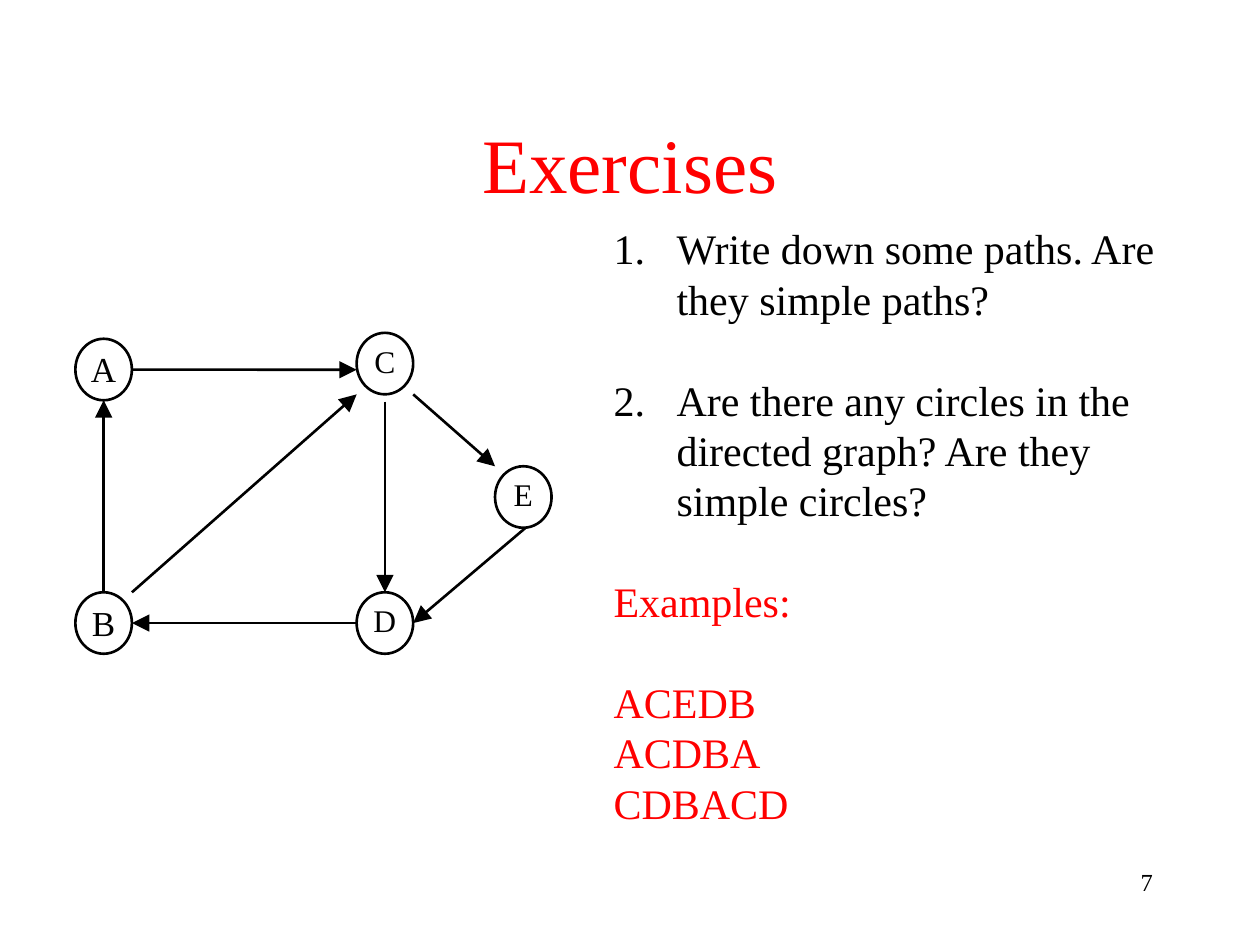
import pptx
import pptx.util
import pptx.dml.color
import pptx.enum.shapes
import pptx.enum.text
import pptx.oxml.ns
from lxml import etree
from pptx.util import Cm

BLACK = pptx.dml.color.RGBColor(0, 0, 0)
RED = pptx.dml.color.RGBColor(255, 0, 0)
FONT = "Times New Roman"
ALIGN = pptx.enum.text.PP_ALIGN
NODE_WIDTH, NODE_HEIGHT = 1.14, 1.24
LINE_PITCH = 28.8

NODES = {
    "A": (1.52, 6.83, 20),
    "B": (1.52, 11.94, 20),
    "C": (7.19, 6.71, 18),
    "D": (7.19, 11.94, 18),
    "E": (9.98, 9.4, 18),
}

# start node, start fraction, end node, end fraction
EDGES = [
    ("A", (1, 0.5), "C", (0, 0.6)),
    ("B", (0.5, 0), "A", (0.5, 1)),
    ("D", (0, 0.5), "B", (1, 0.5)),
    ("C", (0.5, 1.12), "D", (0.5, 0)),
    ("E", (0.54, 1), "D", (1, 0.5)),
    ("C", (1, 1), "E", (0, 0)),
    ("B", (1, 0), "C", (0, 1)),
]

QUESTIONS = [
    "Write down some paths. Are they simple paths?",
    "Are there any circles in the directed graph? Are they simple circles?",
]
EXAMPLES_TITLE = "Examples:"
EXAMPLES = ["ACEDB", "ACDBA", "CDBACD"]


def add_span(para, text, size, color):
    span = para.add_run()
    span.text = text
    span.font.name = FONT
    span.font.size = pptx.util.Pt(size)
    span.font.color.rgb = color


def add_box(slide, left, top, width, height):
    box = slide.shapes.add_textbox(Cm(left), Cm(top), Cm(width), Cm(height))
    box.text_frame.word_wrap = True
    return box.text_frame


def add_label(slide, area, text, size, color, align):
    frame = add_box(slide, *area)
    frame.vertical_anchor = pptx.enum.text.MSO_ANCHOR.TOP
    para = frame.paragraphs[0]
    para.alignment = align
    add_span(para, text, size, color)
    return frame


def add_node(slide, name, left, top, size):
    node = slide.shapes.add_shape(
        pptx.enum.shapes.MSO_SHAPE.OVAL,
        Cm(left), Cm(top), Cm(NODE_WIDTH), Cm(NODE_HEIGHT))
    node.shadow.inherit = False
    node.fill.background()
    node.line.color.rgb = BLACK
    node.line.width = pptx.util.Pt(1.5)
    frame = node.text_frame
    frame.margin_left = frame.margin_right = 0
    frame.margin_top = frame.margin_bottom = 0
    frame.vertical_anchor = pptx.enum.text.MSO_ANCHOR.TOP
    para = frame.paragraphs[0]
    para.alignment = ALIGN.CENTER
    add_span(para, name, size, BLACK)


def point_on(name, fraction):
    left, top, _ = NODES[name]
    return Cm(left + fraction[0] * NODE_WIDTH), Cm(top + fraction[1] * NODE_HEIGHT)


def add_edge(slide, start, start_fraction, end, end_fraction):
    edge = slide.shapes.add_connector(
        pptx.enum.shapes.MSO_CONNECTOR.STRAIGHT,
        *point_on(start, start_fraction), *point_on(end, end_fraction))
    edge.line.color.rgb = BLACK
    edge.line.width = pptx.util.Pt(1.5)
    etree.SubElement(edge.line._get_or_add_ln(), pptx.oxml.ns.qn("a:tailEnd"),
                     type="triangle", w="lg", len="lg")
    etree.SubElement(edge._element.spPr, pptx.oxml.ns.qn("a:effectLst"))


def add_exercises(slide):
    frame = add_box(slide, 12.12, 4.37, 11.63, 12.57)
    lines = [(text, BLACK, True, True) for text in QUESTIONS]
    lines.append((EXAMPLES_TITLE, RED, False, True))
    lines += [(text, RED, False, text == EXAMPLES[0]) for text in EXAMPLES]
    for index, (text, color, numbered, gap) in enumerate(lines):
        para = frame.add_paragraph() if index else frame.paragraphs[0]
        para.line_spacing = pptx.util.Pt(LINE_PITCH)
        para.space_before = pptx.util.Pt(LINE_PITCH if gap and index else 0)
        if numbered:
            properties = para._p.get_or_add_pPr()
            properties.set("marL", str(Cm(1.27)))
            properties.set("indent", str(-Cm(1.27)))
            etree.SubElement(properties, pptx.oxml.ns.qn("a:buFont"), typeface=FONT)
            etree.SubElement(properties, pptx.oxml.ns.qn("a:buAutoNum"),
                             type="arabicPeriod")
        add_span(para, text, 24, color)


def main():
    deck = pptx.Presentation()
    deck.slide_width, deck.slide_height = Cm(25.4), Cm(19.05)
    slide = deck.slides.add_slide(deck.slide_layouts[6])
    title = add_label(slide, (1.9, 1.7, 21.6, 3.18), "Exercises", 44, RED, ALIGN.CENTER)
    title.vertical_anchor = pptx.enum.text.MSO_ANCHOR.MIDDLE
    for edge in EDGES:
        add_edge(slide, *edge)
    for name, placement in NODES.items():
        add_node(slide, name, *placement)
    add_exercises(slide)
    add_label(slide, (18.21, 17.35, 5.28, 1.27), "7", 14, BLACK, ALIGN.RIGHT)
    deck.save("out.pptx")


if __name__ == "__main__":
    main()
